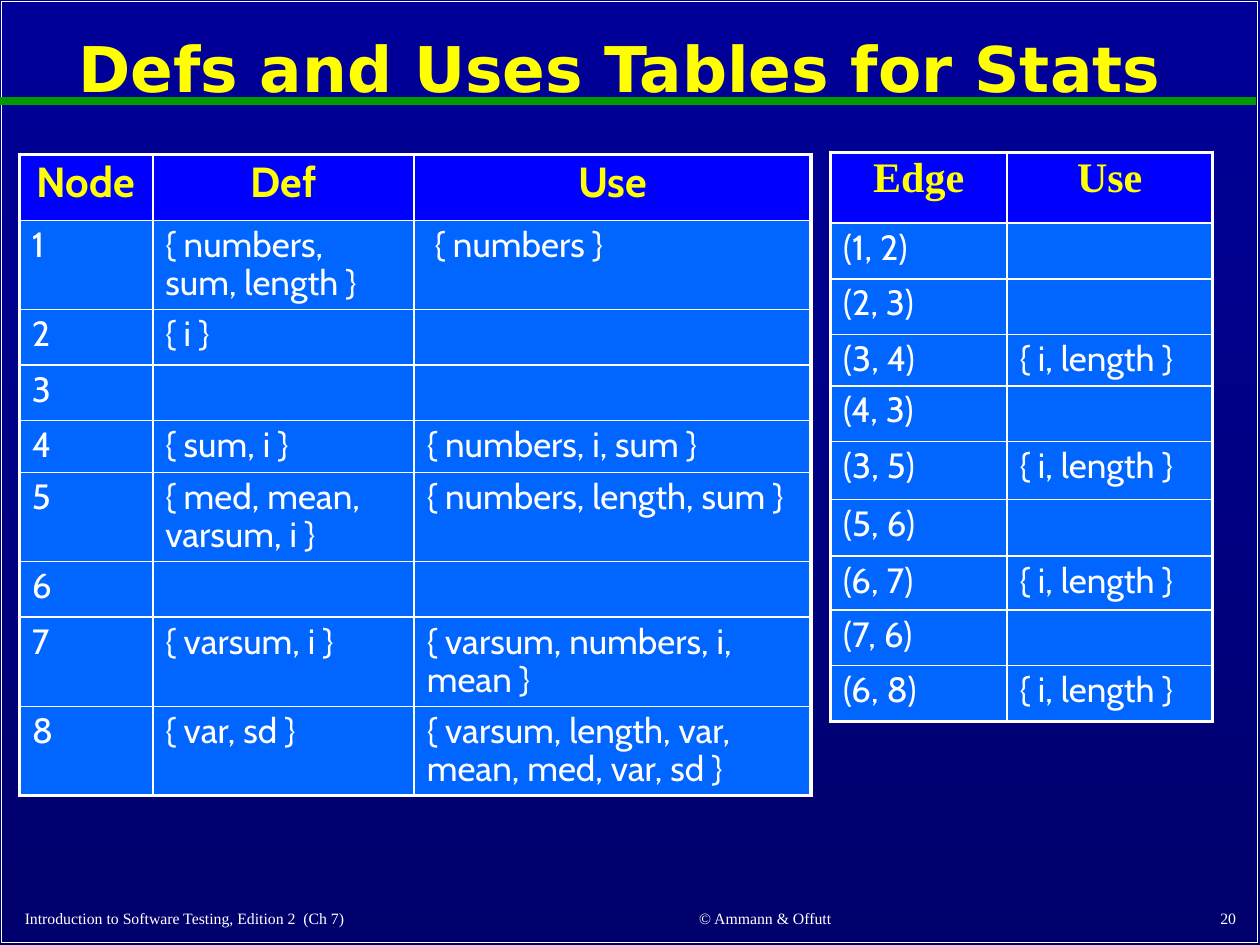
from lxml.etree import SubElement
from pptx import Presentation
from pptx.dml.color import RGBColor
from pptx.enum.shapes import MSO_CONNECTOR, MSO_SHAPE
from pptx.enum.text import MSO_ANCHOR, PP_ALIGN
from pptx.oxml.ns import qn
from pptx.util import Cm, Pt

WHITE = RGBColor(0xFF, 0xFF, 0xFF)
YELLOW = RGBColor(0xFF, 0xFF, 0x00)
GREEN = RGBColor(0x00, 0x99, 0x00)
HEADER_BLUE = RGBColor(0x00, 0x00, 0xFF)
CELL_BLUE = RGBColor(0x00, 0x66, 0xFF)
BACKGROUND_STOPS = [RGBColor(0x00, 0x00, 0x99), RGBColor(0x00, 0x00, 0x6D)]

TITLE = {"name": "DejaVu Sans", "size": Pt(36), "bold": True, "color": YELLOW}
BODY = {"name": "Cabin", "size": Pt(20), "bold": False, "color": WHITE}
HEADER = {"name": "Cabin", "size": Pt(24), "bold": True, "color": YELLOW}
SERIF_HEADER = {**HEADER, "name": "Times New Roman"}
FOOTER = {"name": "Times New Roman", "size": Pt(9), "bold": False, "color": WHITE}

THIN, THICK = Pt(1), Pt(2.25)

NODE_ROWS = [
    ("Node", "Def", "Use"),
    ("1", "{ numbers, sum, length }", " { numbers }"),
    ("2", "{ i }", ""),
    ("3", "", ""),
    ("4", "{ sum, i }", "{ numbers, i, sum }"),
    ("5", "{ med, mean, varsum, i }", "{ numbers, length, sum }"),
    ("6", "", ""),
    ("7", "{ varsum, i }", "{ varsum, numbers, i, mean }"),
    ("8", "{ var, sd }", "{ varsum, length, var, mean, med, var, sd }"),
]
NODE_HEIGHTS = [1.33, 1.8, 1.12, 1.12, 1.04, 1.8, 1.12, 1.8, 1.8]

EDGE_ROWS = [
    ("Edge", "Use"),
    ("(1, 2)", ""),
    ("(2, 3)", ""),
    ("(3, 4)", "{ i, length }"),
    ("(4, 3)", ""),
    ("(3, 5)", "{ i, length }"),
    ("(5, 6)", ""),
    ("(6, 7)", "{ i, length }"),
    ("(7, 6)", ""),
    ("(6, 8)", "{ i, length }"),
]
EDGE_HEIGHTS = [1.43, 1.12, 1.12, 1.04, 1.12, 1.17, 1.14, 1.09, 1.12, 1.12]


class SlideBuilder:
    def __init__(self, deck):
        self.slide = deck.slides.add_slide(deck.slide_layouts[5])
        self.shapes = self.slide.shapes

    def background(self, colors):
        fill = self.slide.background.fill
        fill.gradient()
        fill.gradient_angle = 270
        for position, (stop, color) in enumerate(zip(fill.gradient_stops, colors)):
            stop.color.rgb = color
            stop.position = position

    def add_text(self, para, text, style, align):
        para.alignment = align
        span = para.add_run()
        span.text = text
        for name, value in style.items():
            if name == "color":
                span.font.color.rgb = value
            else:
                setattr(span.font, name, value)

    def title(self, text, left, top, width, height):
        box = self.shapes.title
        place = {"left": left, "top": top, "width": width, "height": height}
        for name, value in place.items():
            setattr(box, name, Cm(value))
        box.text_frame.vertical_anchor = MSO_ANCHOR.MIDDLE
        para = box.text_frame.paragraphs[0]
        para.line_spacing = 0.9
        self.add_text(para, text, TITLE, PP_ALIGN.CENTER)

    def frame(self, left, top, width, height):
        box = self.shapes.add_shape(
            MSO_SHAPE.RECTANGLE, Cm(left), Cm(top), Cm(width), Cm(height))
        box.shadow.inherit = False
        box.fill.background()
        box.line.color.rgb = WHITE
        box.line.width = THIN

    def rule(self, left, right, height):
        line = self.shapes.add_connector(
            MSO_CONNECTOR.STRAIGHT, Cm(left), Cm(height), Cm(right), Cm(height))
        line.line.color.rgb = GREEN
        line.line.width = Pt(4.5)
        SubElement(line._element.spPr, qn("a:effectLst"))

    def footer(self, text, left, width, align):
        box = self.shapes.add_textbox(Cm(left), Cm(18.17), Cm(width), Cm(0.67))
        box.text_frame.word_wrap = False
        box.text_frame.vertical_anchor = MSO_ANCHOR.MIDDLE
        self.add_text(box.text_frame.paragraphs[0], text, FOOTER, align)

    def border(self, cell, widths):
        properties = cell._tc.get_or_add_tcPr()
        for side, width in widths.items():
            line = SubElement(properties, qn(f"a:ln{side}"), w=str(width))
            fill = SubElement(line, qn("a:solidFill"))
            SubElement(fill, qn("a:srgbClr"), val=str(WHITE))

    def table(self, rows, left, top, widths, heights, header_style):
        table = self.shapes.add_table(
            len(rows), len(widths), Cm(left), Cm(top),
            Cm(sum(widths)), Cm(sum(heights))).table
        table.first_row = table.horz_banding = False
        for column, width in zip(table.columns, widths):
            column.width = Cm(width)
        for row, height in zip(table.rows, heights):
            row.height = Cm(height)
        last_row, last_column = len(rows) - 1, len(widths) - 1
        for i, texts in enumerate(rows):
            style = BODY if i else header_style
            for j, text in enumerate(texts):
                cell = table.cell(i, j)
                self.border(cell, {
                    "L": THIN if j else THICK,
                    "R": THICK if j == last_column else THIN,
                    "T": THIN if i else THICK,
                    "B": THICK if i == last_row else THIN,
                })
                cell.fill.solid()
                cell.fill.fore_color.rgb = CELL_BLUE if i else HEADER_BLUE
                if text:
                    para = cell.text_frame.paragraphs[0]
                    para.line_spacing = 0.9
                    self.add_text(para, text, style,
                                  PP_ALIGN.LEFT if i else PP_ALIGN.CENTER)


def main():
    deck = Presentation()
    deck.slide_width, deck.slide_height = Cm(25.4), Cm(19.05)
    page = SlideBuilder(deck)
    page.background(BACKGROUND_STOPS)
    page.frame(0.03, 0.03, 25.32, 18.97)
    page.rule(0, 25.32, 2.03)
    page.footer("Introduction to Software Testing, Edition 2  (Ch 7)",
                0.25, 10.44, PP_ALIGN.LEFT)
    page.footer("© Ammann & Offutt", 11.4, 8.05, PP_ALIGN.CENTER)
    page.footer("20", 19.89, 5.28, PP_ALIGN.RIGHT)
    page.title("Defs and Uses Tables for Stats ", 0.2, 0.28, 25.02, 2.34)
    page.table(NODE_ROWS, 0.39, 3.11, [2.69, 5.27, 8], NODE_HEIGHTS, HEADER)
    page.table(EDGE_ROWS, 16.74, 3.07, [3.56, 4.14], EDGE_HEIGHTS, SERIF_HEADER)
    deck.save("out.pptx")


if __name__ == "__main__":
    main()
